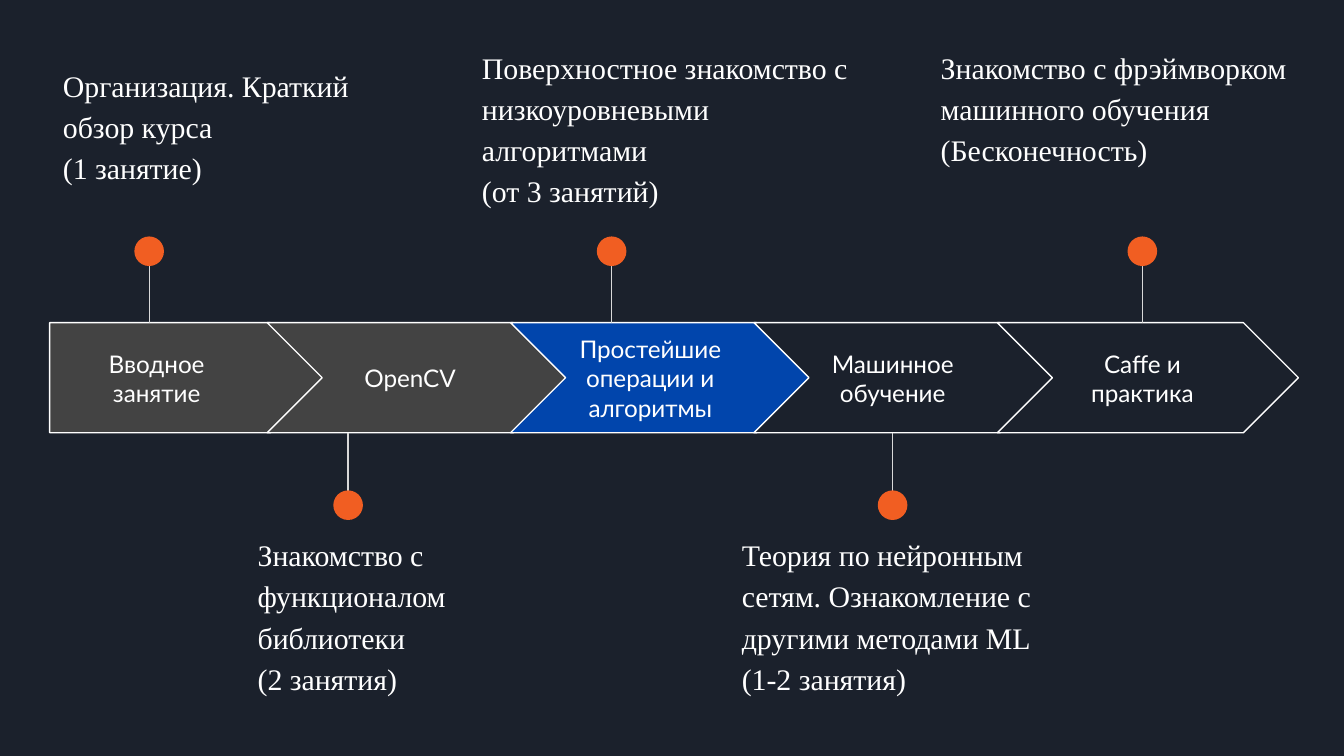
from lxml import etree
from pptx import Presentation
from pptx import util as u
from pptx.dml.color import RGBColor
from pptx.enum import shapes, text
from pptx.oxml.ns import qn

COLORS = {
    "background": "1B212C",
    "done": "434343",
    "current": "0145AC",
    "dot": "F15E22",
    "stem": "D9D9D9",
    "white": "FFFFFF",
}

# All lengths below are in centimetres
ARROW_TOP, ARROW_HEIGHT = 6.1, 2.08
FIRST_LEFT, FIRST_WIDTH = 0.94, 5.21
CHEVRON_LEFT, CHEVRON_WIDTH, PITCH = 5.05, 5.69, 4.6
LABEL_TOP, LABEL_HEIGHT = 6.5, 1.3
DOT = 0.56
DOT_TOP_ABOVE, DOT_TOP_BELOW = 4.47, 9.27

# Label, fill, label left and width, pin x, note box, note lines
STAGES = [
    ("Вводное занятие", "done", (0.94, 4.04), 2.82, (0.94, 1.09, 6.22, 2.51),
     ["Организация. Краткий обзор курса ", "(1 занятие)"]),
    ("OpenCV", "done", (5.92, 3.66), 6.58, (4.62, 9.8, 6.22, 2.51),
     ["Знакомство с функционалом библиотеки ", "(2 занятия)"]),
    ("Простейшие операции и алгоритмы", "current", (10.46, 3.66), 11.56,
     (8.86, 0.58, 7.82, 3.66),
     ["Поверхностное знакомство с низкоуровневыми алгоритмами",
      "(от 3 занятий)"]),
    ("Машинное обучение", "background", (15.04, 3.66), 16.87,
     (13.77, 9.8, 6.22, 2.51),
     ["Теория по нейронным сетям. Ознакомление с другими методами ML",
      "(1-2 занятия)"]),
    ("Caffe и практика", "background", (19.76, 3.66), 21.59,
     (17.53, 0.58, 7.32, 2.67),
     ["Знакомство с фрэймворком машинного обучения", "(Бесконечность)"]),
]


def rgb(name):
    return RGBColor.from_string(COLORS[name])


def cm(*values):
    return [u.Cm(v) for v in values]


def add_text(s, box, lines, font, size, anchor=text.MSO_ANCHOR.TOP):
    """Add a one-paragraph text box with line breaks; return the paragraph."""
    tf = s.shapes.add_textbox(*cm(*box)).text_frame
    tf.word_wrap = True
    tf.vertical_anchor = anchor
    tf.margin_left = tf.margin_right = u.Cm(0.25)
    tf.margin_top = tf.margin_bottom = u.Cm(0.25)
    p = tf.paragraphs[0]
    for i, line in enumerate(lines):
        if i:
            p.add_line_break()
        r = p.add_run()
        r.text = line
        r.font.name = font
        r.font.size = u.Pt(size)
        r.font.color.rgb = rgb("white")
    return p


def add_arrow(s, index, fill):
    if index == 0:
        kind, left, width = shapes.MSO_SHAPE.PENTAGON, FIRST_LEFT, FIRST_WIDTH
    else:
        kind, width = shapes.MSO_SHAPE.CHEVRON, CHEVRON_WIDTH
        left = CHEVRON_LEFT + (index - 1) * PITCH
    sp = s.shapes.add_shape(kind, *cm(left, ARROW_TOP, width, ARROW_HEIGHT))
    sp.adjustments[0] = 0.5
    sp.shadow.inherit = False
    sp.fill.solid()
    sp.fill.fore_color.rgb = rgb(fill)
    sp.line.color.rgb = rgb("white")
    sp.line.width = u.Pt(0.75)


def add_label(s, label, left, width):
    p = add_text(s, (left, LABEL_TOP, width, LABEL_HEIGHT), [label],
                 "Lato", 13, text.MSO_ANCHOR.MIDDLE)
    p.alignment = text.PP_ALIGN.CENTER


def add_pin(s, x, above):
    """Add a stem from the arrow's edge to a dot above or below it."""
    edge = ARROW_TOP if above else ARROW_TOP + ARROW_HEIGHT
    dot_top = DOT_TOP_ABOVE if above else DOT_TOP_BELOW
    stem = s.shapes.add_connector(shapes.MSO_CONNECTOR.STRAIGHT,
                                  *cm(x, dot_top + DOT / 2, x, edge))
    stem.line.color.rgb = rgb("stem")
    stem.line.width = u.Pt(0.75)
    etree.SubElement(stem._element.spPr, qn("a:effectLst"))
    dot = s.shapes.add_shape(shapes.MSO_SHAPE.OVAL,
                             *cm(x - DOT / 2, dot_top, DOT, DOT))
    dot.shadow.inherit = False
    dot.fill.solid()
    dot.fill.fore_color.rgb = rgb("dot")
    dot.line.fill.background()


def add_note(s, box, lines, first):
    anchor = text.MSO_ANCHOR.MIDDLE if first else text.MSO_ANCHOR.TOP
    p = add_text(s, box, lines, "Times New Roman", 16, anchor)
    p.line_spacing = 1.15
    if first:
        p.space_after = u.Pt(16)


def main():
    prs = Presentation()
    prs.slide_width, prs.slide_height = cm(25.4, 14.29)
    s = prs.slides.add_slide(prs.slide_layouts[6])
    s.background.fill.solid()
    s.background.fill.fore_color.rgb = rgb("background")
    for i, (label, fill, span, pin_x, box, lines) in enumerate(STAGES):
        add_arrow(s, i, fill)
        add_label(s, label, *span)
        add_pin(s, pin_x, above=i % 2 == 0)
        add_note(s, box, lines, first=i == 0)
    prs.save("out.pptx")


if __name__ == "__main__":
    main()
